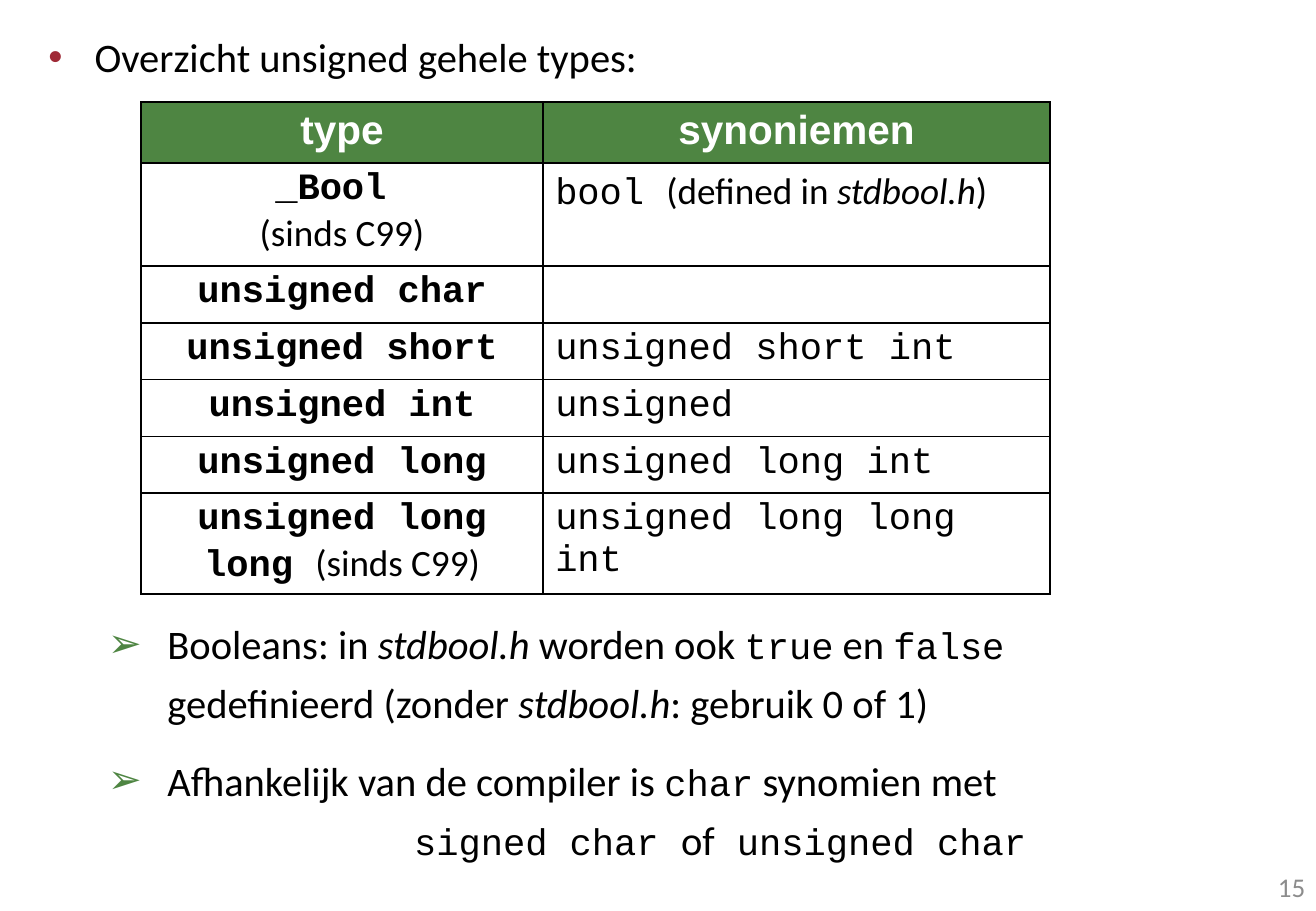
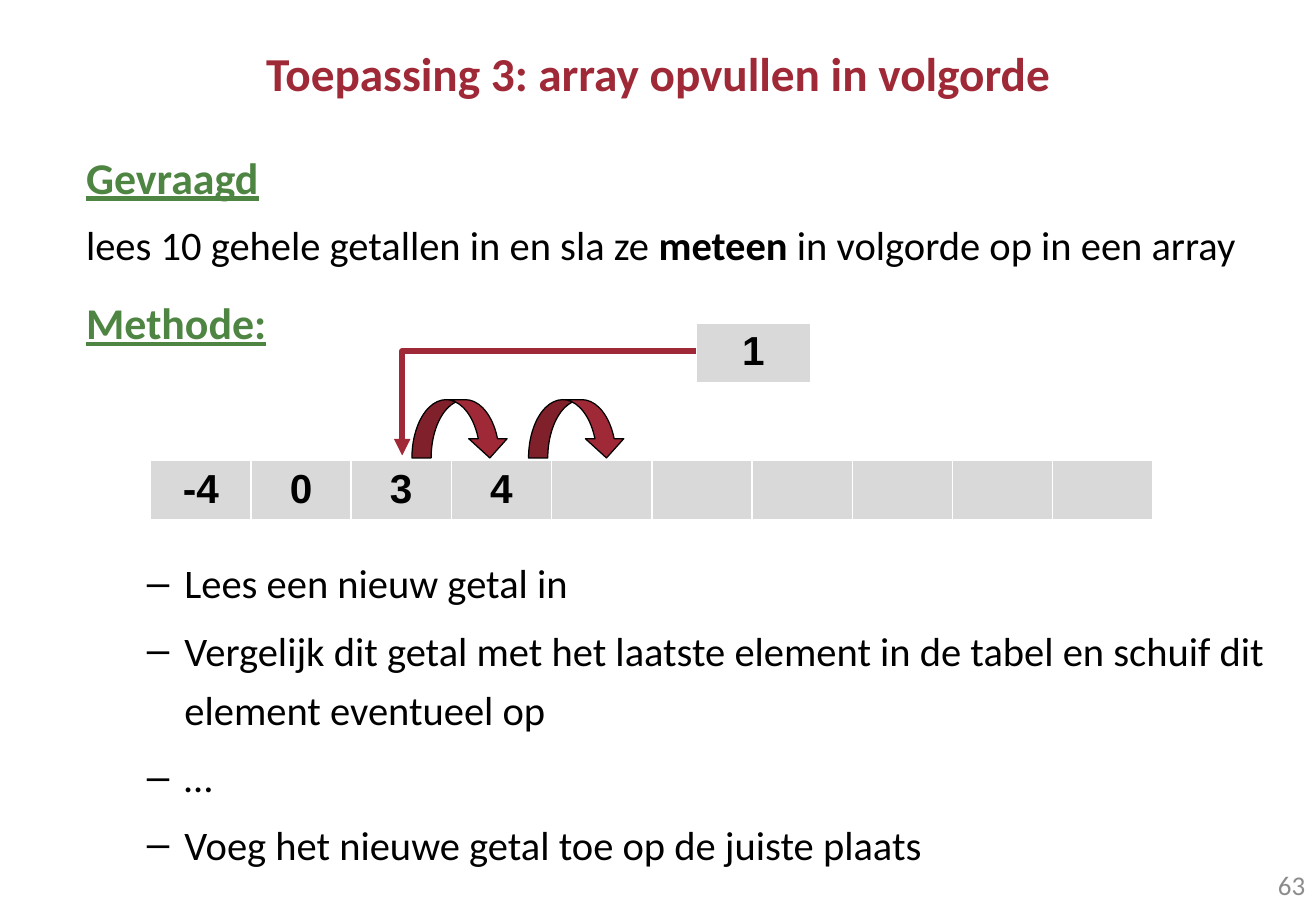
from lxml.etree import SubElement
from pptx import Presentation
from pptx.dml.color import RGBColor
from pptx.enum.shapes import MSO_CONNECTOR, MSO_SHAPE
from pptx.enum.text import MSO_ANCHOR, PP_ALIGN
from pptx.oxml.ns import qn
from pptx.util import Inches, Pt

RED = RGBColor(0x9F, 0x29, 0x36)
GREEN = RGBColor(0x4E, 0x85, 0x42)
BLACK = RGBColor(0, 0, 0)
WHITE = RGBColor(255, 255, 255)
LIGHT_GRAY = RGBColor(0xD9, 0xD9, 0xD9)
NUMBER_GRAY = RGBColor(0x8C, 0x8C, 0x8C)

BODY = ("Calibri", 24, "")
BODY_BOLD = ("Calibri", 24, "b")
BODY_ITALIC = ("Calibri", 24, "i")
CODE = ("Courier New", 22, "")
CODE_BOLD = ("Courier New", 22, "b")
NOTE = ("Calibri", 22, "")
NOTE_ITALIC = ("Calibri", 22, "i")
TABLE_BOLD = ("Arial", 24, "b")
HEADING = ("Calibri", 26, "bu")
TITLE = ("Calibri", 28, "b")
PAGE_NUMBER = ("Calibri", 16, "")

LEFT, CENTER, RIGHT = PP_ALIGN.LEFT, PP_ALIGN.CENTER, PP_ALIGN.RIGHT
TOP, MIDDLE = MSO_ANCHOR.TOP, MSO_ANCHOR.MIDDLE


def write_runs(paragraph, runs, color, alignment):
    paragraph.alignment = alignment
    for text, (name, size, flags) in runs:
        run = paragraph.add_run()
        run.text = text
        run.font.name = name
        run.font.size = Pt(size)
        run.font.bold = "b" in flags
        run.font.italic = "i" in flags
        run.font.underline = "u" in flags
        run.font.color.rgb = color


def style_cell(cell, fill, border, bottom_width):
    properties = cell._tc.get_or_add_tcPr()
    for side, width in (("L", 1), ("R", 1), ("T", 1), ("B", bottom_width)):
        line = SubElement(properties, qn(f"a:ln{side}"), w=str(Pt(width)))
        SubElement(SubElement(line, qn("a:solidFill")), qn("a:srgbClr"), val=str(border))
    if fill is None:
        cell.fill.background()
    else:
        cell.fill.solid()
        cell.fill.fore_color.rgb = fill


presentation = Presentation()
presentation.slide_width = Inches(10.83)
presentation.slide_height = Inches(7.5)
types_slide, array_slide = [
    presentation.slides.add_slide(presentation.slide_layouts[6]) for _ in range(2)
]

TOPIC = (0.38, -0.38, "•", RED)
REMARK = (0.98, -0.49, "➢", GREEN)
REMARK_TAIL = (3.01, 0, None, None)
STEP = (0.81, -0.31, "–", BLACK)
PLAIN = (0, 0, None, None)

remarks = [
    ([("Booleans: in ", BODY), ("stdbool.h", BODY_ITALIC), (" worden ook ", BODY),
      ("true", CODE), (" en ", BODY), ("false", CODE), (" gedefinieerd (zonder ", BODY),
      ("stdbool.h", BODY_ITALIC), (": gebruik 0 of 1)", BODY)], BLACK, LEFT, 35, 0, REMARK),
    ([("Afhankelijk van de compiler is ", BODY), ("char", CODE), (" synomien met", BODY)],
     BLACK, LEFT, 35, 11, REMARK),
    ([("signed char ", CODE), ("of", BODY), (" unsigned char", CODE)],
     BLACK, LEFT, 35, 0, REMARK_TAIL),
]
assignment = [
    ([("Gevraagd", HEADING)], GREEN, LEFT, 34, 0, PLAIN),
    ([("lees 10 gehele getallen in en sla ze ", BODY), ("meteen ", BODY_BOLD),
      ("in volgorde op in een array", BODY)], BLACK, LEFT, 34, 5, PLAIN),
    ([("Methode:", HEADING)], GREEN, LEFT, 35, 12, PLAIN),
]
steps = [
    ([(text, BODY)], BLACK, LEFT, 35, 5 if index else 0, STEP)
    for index, text in enumerate([
        "Lees een nieuw getal in",
        "Vergelijk dit getal met het laatste element in de tabel en schuif dit element eventueel op",
        "…",
        "Voeg het nieuwe getal toe op de juiste plaats",
    ])
]
topic = [([("Overzicht unsigned gehele types:", BODY)], BLACK, LEFT, 35, 0, TOPIC)]
title = [([("Toepassing 3: array opvullen in volgorde", TITLE)], RED, CENTER, 40, 0, PLAIN)]
first_number, second_number = [
    [([(number, PAGE_NUMBER)], NUMBER_GRAY, RIGHT, None, 0, PLAIN)] for number in ("15", "63")
]

text_boxes = [
    (types_slide, 0.3, 0.13, 9.53, 0.6, TOP, topic),
    (types_slide, 0.3, 4.96, 9.53, 2.2, TOP, remarks),
    (types_slide, 8.31, 7.1, 2.53, 0.4, MIDDLE, first_number),
    (array_slide, 0, -0.01, 10.83, 1.13, MIDDLE, title),
    (array_slide, 0.61, 1.15, 9.92, 1.8, TOP, assignment),
    (array_slide, 0.61, 4.46, 9.92, 2.8, TOP, steps),
    (array_slide, 8.31, 7.08, 2.53, 0.4, MIDDLE, second_number),
]
for slide, left, top, width, height, anchor, paragraphs in text_boxes:
    box = slide.shapes.add_textbox(Inches(left), Inches(top), Inches(width), Inches(height))
    text_frame = box.text_frame
    text_frame.word_wrap = True
    text_frame.vertical_anchor = anchor
    for index, (runs, color, alignment, line, before, layout) in enumerate(paragraphs):
        paragraph = text_frame.add_paragraph() if index else text_frame.paragraphs[0]
        margin, indent, bullet, bullet_color = layout
        properties = paragraph._p.get_or_add_pPr()
        properties.set("marL", str(Inches(margin)))
        properties.set("indent", str(Inches(indent)))
        if bullet:
            SubElement(SubElement(properties, qn("a:buClr")), qn("a:srgbClr"),
                       val=str(bullet_color))
            SubElement(properties, qn("a:buFont"), typeface="Arial")
            SubElement(properties, qn("a:buChar"), char=bullet)
        if line:
            paragraph.line_spacing = Pt(line)
        paragraph.space_before = Pt(before)
        write_runs(paragraph, runs, color, alignment)

type_rows = [
    (0.48, [[("type", TABLE_BOLD)]], [("synoniemen", TABLE_BOLD)]),
    (0.85, [[("_Bool ", CODE_BOLD)], [("(sinds C99)", NOTE)]],
     [("bool ", CODE), ("(defined in ", NOTE), ("stdbool.h", NOTE_ITALIC), (")", NOTE)]),
    (0.45, [[("unsigned char", CODE_BOLD)]], []),
    (0.45, [[("unsigned short", CODE_BOLD)]], [("unsigned short int", CODE)]),
    (0.45, [[("unsigned int", CODE_BOLD)]], [("unsigned", CODE)]),
    (0.45, [[("unsigned long", CODE_BOLD)]], [("unsigned long int", CODE)]),
    (0.82, [[("unsigned long long ", CODE_BOLD), ("(sinds C99)", NOTE)]],
     [("unsigned long long int", CODE)]),
]
types_table = types_slide.shapes.add_table(
    len(type_rows), 2, Inches(1.16), Inches(0.84), Inches(7.48), Inches(3.95)).table
types_table.first_row = types_table.horz_banding = False
types_table.columns[0].width = Inches(3.31)
types_table.columns[1].width = Inches(4.17)
for row, (height, type_paragraphs, synonym) in enumerate(type_rows):
    types_table.rows[row].height = Inches(height)
    is_header = row == 0
    color = WHITE if is_header else BLACK
    type_cell, synonym_cell = types_table.cell(row, 0), types_table.cell(row, 1)
    for cell in (type_cell, synonym_cell):
        style_cell(cell, GREEN if is_header else None, BLACK, 1)
    for index, runs in enumerate(type_paragraphs):
        text_frame = type_cell.text_frame
        paragraph = text_frame.add_paragraph() if index else text_frame.paragraphs[0]
        write_runs(paragraph, runs, color, CENTER)
    write_runs(synonym_cell.text_frame.paragraphs[0], synonym, color,
               CENTER if is_header else LEFT)

for left in (3.39, 4.35):
    shift_arrow = array_slide.shapes.add_shape(
        MSO_SHAPE.CURVED_DOWN_ARROW, Inches(left), Inches(3.29), Inches(0.8), Inches(0.48))
    shift_arrow.shadow.inherit = False
    for index, value in enumerate((0.33, 0.66, 0.33)):
        shift_arrow.adjustments[index] = value
    shift_arrow.fill.solid()
    shift_arrow.fill.fore_color.rgb = RED
    shift_arrow.line.color.rgb = BLACK
    shift_arrow.line.width = Pt(0.75)

insert_arrow = array_slide.shapes.add_connector(
    MSO_CONNECTOR.ELBOW, Inches(5.86), Inches(2.89), Inches(3.31), Inches(3.75))
insert_arrow.line.color.rgb = RED
insert_arrow.line.width = Pt(3.25)
properties = insert_arrow._element.spPr
SubElement(properties.find(qn("a:ln")), qn("a:tailEnd"), type="triangle")
SubElement(properties, qn("a:effectLst"))
SubElement(properties.find(qn("a:prstGeom")).find(qn("a:avLst")), qn("a:gd"),
           name="adj1", fmla="val 100000")

array_values = ["-4", "0", "3", "4"] + [""] * 6
for left, top, cell_width, values in ((1.24, 3.79, 0.825, array_values), (5.73, 2.66, 0.94, ["1"])):
    number_table = array_slide.shapes.add_table(
        1, len(values), Inches(left), Inches(top),
        Inches(cell_width * len(values)), Inches(0.45)).table
    number_table.first_row = number_table.horz_banding = False
    for cell, value in zip(number_table.rows[0].cells, values):
        style_cell(cell, LIGHT_GRAY, WHITE, 3)
        if value:
            write_runs(cell.text_frame.paragraphs[0], [(value, TABLE_BOLD)], BLACK, CENTER)

presentation.save("out.pptx")
